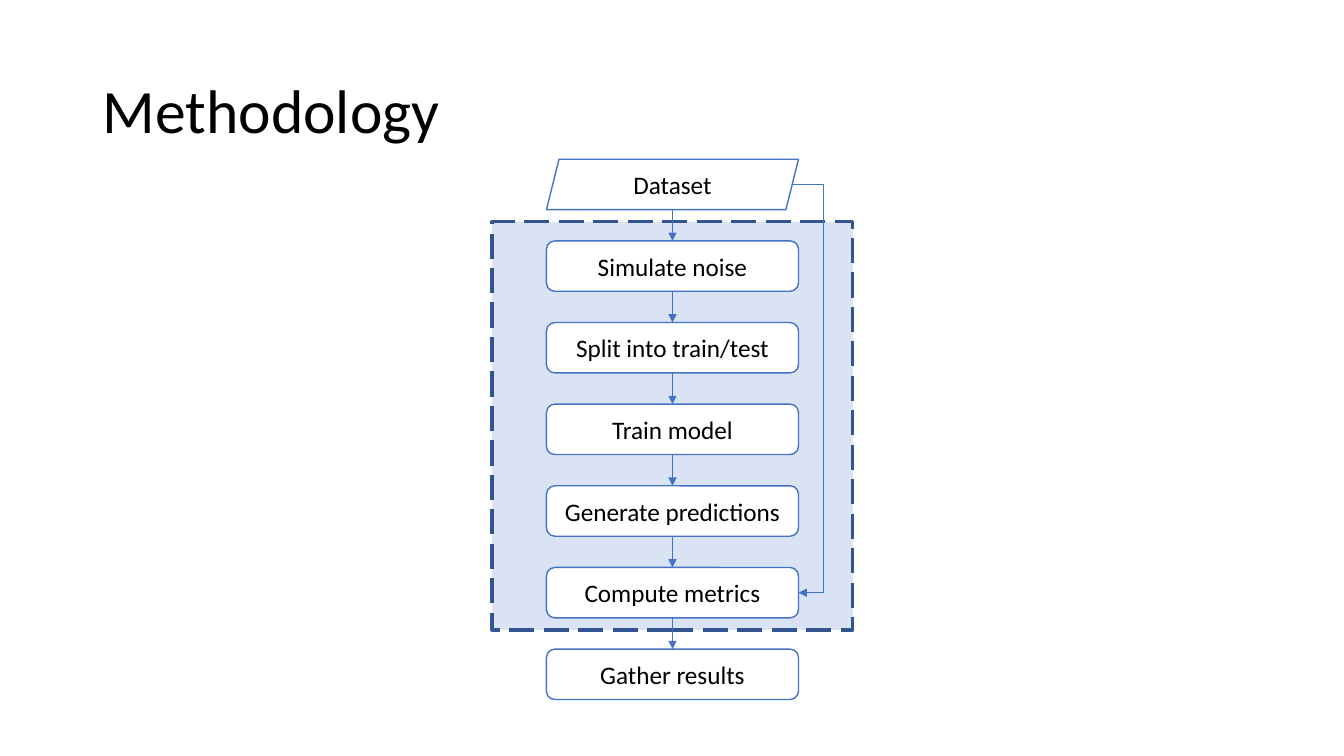
from dataclasses import dataclass

from lxml.etree import SubElement
from pptx import Presentation
from pptx.dml.color import RGBColor
from pptx.enum.dml import MSO_LINE_DASH_STYLE as Dash
from pptx.enum.shapes import MSO_CONNECTOR as Link, MSO_SHAPE as Preset
from pptx.enum.text import MSO_ANCHOR as Anchor, PP_ALIGN as Align
from pptx.oxml.ns import qn
from pptx.shapes.autoshape import Shape
from pptx.shapes.connector import Connector
from pptx.slide import Slide
from pptx.text.text import TextFrame
from pptx.util import Inches, Pt

FONT = "Calibri"
BLUE, NAVY, PALE, WHITE, BLACK = "4472C4", "325491", "DAE3F3", "FFFFFF", "000000"
STEP_LEFT, STEP_WIDTH, STEP_HEIGHT = 5.42, 2.5, 0.5
FIRST_TOP, STEP_PITCH = 1.58, 0.81
CENTER = STEP_LEFT + STEP_WIDTH / 2
STEP_RIGHT = STEP_LEFT + STEP_WIDTH
BYPASS_START, BYPASS_TURN = 7.86, 8.17


@dataclass
class Step:
    label: str
    preset: Preset = Preset.ROUNDED_RECTANGLE


STEPS = [
    Step("Dataset", Preset.PARALLELOGRAM),
    Step("Simulate noise"),
    Step("Split into train/test"),
    Step("Train model"),
    Step("Generate predictions"),
    Step("Compute metrics"),
    Step("Gather results"),
]
METRICS_INDEX = 5


def color(value: str) -> RGBColor:
    return RGBColor.from_string(value)


def step_top(index: int) -> float:
    return FIRST_TOP + index * STEP_PITCH


def write_text(text_frame: TextFrame, text: str, size: int, align: Align) -> None:
    text_frame.text = text
    text_frame.word_wrap = True
    text_frame.vertical_anchor = Anchor.MIDDLE
    paragraph = text_frame.paragraphs[0]
    paragraph.alignment = align
    font = paragraph.runs[0].font
    font.name = FONT
    font.size = Pt(size)
    font.color.rgb = color(BLACK)


def add_title(slide: Slide, text: str) -> None:
    title = slide.shapes.add_textbox(Inches(0.92), Inches(0.4), Inches(11.5), Inches(1.45))
    write_text(title.text_frame, text, 44, Align.LEFT)
    title.text_frame.paragraphs[0].line_spacing = 0.9


def add_box(slide: Slide, preset: Preset, left: float, top: float, width: float,
            height: float, fill: str, line: str, weight: float) -> Shape:
    shape = slide.shapes.add_shape(
        preset, Inches(left), Inches(top), Inches(width), Inches(height))
    shape.shadow.inherit = False
    shape.fill.solid()
    shape.fill.fore_color.rgb = color(fill)
    shape.line.color.rgb = color(line)
    shape.line.width = Pt(weight)
    return shape


def add_step(slide: Slide, step: Step, top: float) -> None:
    shape = add_box(slide, step.preset, STEP_LEFT, top, STEP_WIDTH, STEP_HEIGHT,
                    WHITE, BLUE, 1)
    write_text(shape.text_frame, step.label, 18, Align.CENTER)


def add_arrow(slide: Slide, kind: Link, start_x: float, start_y: float,
              end_x: float, end_y: float) -> Connector:
    arrow = slide.shapes.add_connector(
        kind, Inches(start_x), Inches(start_y), Inches(end_x), Inches(end_y))
    arrow.line.color.rgb = color(BLUE)
    arrow.line.width = Pt(1)
    properties = arrow._element.spPr
    SubElement(properties.find(qn("a:ln")), qn("a:tailEnd"), type="triangle")
    SubElement(properties, qn("a:effectLst"))
    return arrow


def add_bypass(slide: Slide) -> None:
    middle = STEP_HEIGHT / 2
    arrow = add_arrow(slide, Link.ELBOW, BYPASS_START, step_top(0) + middle,
                      STEP_RIGHT, step_top(METRICS_INDEX) + middle)
    turn = (BYPASS_TURN - BYPASS_START) / (STEP_RIGHT - BYPASS_START)
    guides = arrow._element.spPr.find(qn("a:prstGeom")).find(qn("a:avLst"))
    SubElement(guides, qn("a:gd"), name="adj1", fmla=f"val {round(turn * 100000)}")


presentation = Presentation()
presentation.slide_width = Inches(13.33)
presentation.slide_height = Inches(7.5)
slide = presentation.slides.add_slide(presentation.slide_layouts[6])

add_title(slide, "Methodology")
loop_frame = add_box(slide, Preset.RECTANGLE, 4.88, 2.2, 3.58, 4.05, PALE, NAVY, 2.25)
loop_frame.line.dash_style = Dash.LONG_DASH

for index, step in enumerate(STEPS):
    add_step(slide, step, step_top(index))
for index in range(1, len(STEPS)):
    add_arrow(slide, Link.STRAIGHT, CENTER, step_top(index - 1) + STEP_HEIGHT,
              CENTER, step_top(index))
add_bypass(slide)

presentation.save("out.pptx")
